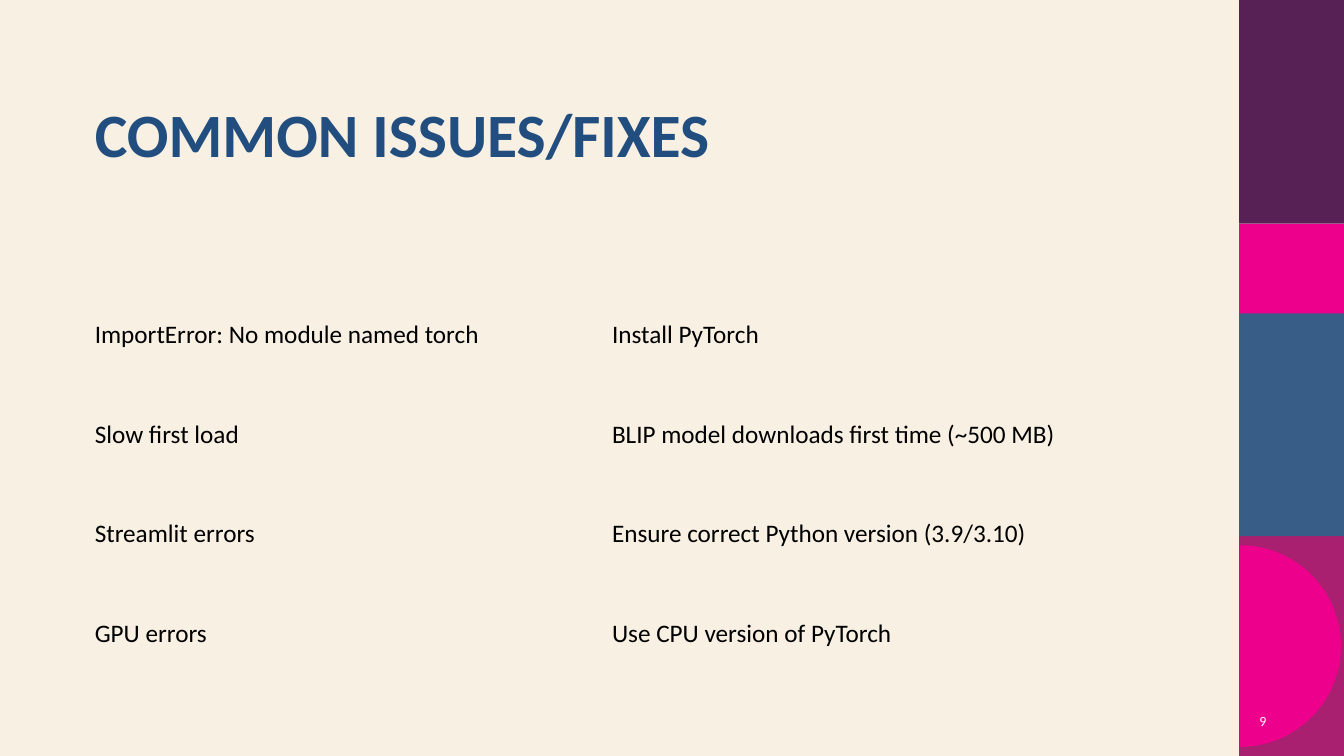
"""Build the slide of common issues and their fixes."""
import math
import pptx
import pptx.util
import pptx.dml.color
import pptx.enum.shapes
import pptx.enum.text

Inches = pptx.util.Inches
Align = pptx.enum.text.PP_ALIGN
Anchor = pptx.enum.text.MSO_ANCHOR

TITLE = "COMMON ISSUES/FIXES"
NUMBER = "9"
FIXES = [
    ("ImportError: No module named torch", "Install PyTorch"),
    ("Slow first load", "BLIP model downloads first time (~500 MB)"),
    ("Streamlit errors", "Ensure correct Python version (3.9/3.10)"),
    ("GPU errors", "Use CPU version of PyTorch"),
]
BANDS = [
    (5.28, 2.22, "AA2070"),
    (3.1, 2.22, "385E88"),
    (0, 2.22, "582156"),
    (2.22, 0.89, "EC008C"),
]
WIDE, HIGH = 13.33, 7.5
SIDE = 12.29
LEFT = 0.84
NO_GRID = "{2D5ABB26-0587-4C30-8999-92F81FD0307C}"


def paint(fill, color):
    fill.solid()
    fill.fore_color.rgb = pptx.dml.color.RGBColor.from_string(color)


def finish(shape, color):
    paint(shape.fill, color)
    shape.line.fill.background()
    shape.shadow.inherit = False


def write(frame, text, size, color, align=Align.LEFT, bold=False):
    frame.text = text
    para = frame.paragraphs[0]
    para.alignment = align
    font = para.runs[0].font
    font.name, font.size, font.bold = "Calibri", pptx.util.Pt(size), bold
    font.color.rgb = pptx.dml.color.RGBColor.from_string(color)


def add_side(shapes):
    for top, high, color in BANDS:
        band = shapes.add_shape(
            pptx.enum.shapes.MSO_SHAPE.RECTANGLE, Inches(SIDE), Inches(top),
            Inches(WIDE - SIDE), Inches(high))
        finish(band, color)
    mid_x, mid_y, steps = 12.3, 6.41, 90
    turns = [math.pi * (i / steps - 0.5) for i in range(steps + 1)]
    arc = [(Inches(mid_x + math.cos(t)), Inches(mid_y + math.sin(t)))
           for t in turns]
    disc = shapes.build_freeform(*arc[0])
    disc.add_line_segments(arc[1:], close=True)
    finish(disc.convert_to_shape(), "EC008C")


def add_title(title):
    title.left, title.top = Inches(LEFT), Inches(0.98)
    title.width, title.height = Inches(10.27), Inches(1.49)
    frame = title.text_frame
    write(frame, TITLE, 44, "224E7F", bold=True)
    frame.vertical_anchor = Anchor.TOP
    frame.paragraphs[0].line_spacing = 0.9


def add_number(shapes):
    box = shapes.add_textbox(
        Inches(12.16), Inches(6.95), Inches(0.5), Inches(0.4))
    frame = box.text_frame
    frame.word_wrap = True
    frame.vertical_anchor = Anchor.MIDDLE
    write(frame, NUMBER, 10, "FFFFFF", Align.RIGHT)


def add_fixes(shapes):
    frame = shapes.add_table(
        len(FIXES), 2, Inches(LEFT), Inches(2.83), Inches(10.26), Inches(3.95))
    table = frame.table
    table.first_row = table.horz_banding = False
    table._tbl.tblPr[0].text = NO_GRID
    for r, pair in enumerate(FIXES):
        for c, text in enumerate(pair):
            cell = table.cell(r, c)
            cell.fill.background()
            cell.vertical_anchor = Anchor.MIDDLE
            write(cell.text_frame, text, 18, "000000")


def main():
    deck = pptx.Presentation()
    deck.slide_width, deck.slide_height = Inches(WIDE), Inches(HIGH)
    slide = deck.slides.add_slide(deck.slide_layouts[5])
    paint(slide.background.fill, "F8F0E3")
    add_side(slide.shapes)
    add_title(slide.shapes.title)
    add_number(slide.shapes)
    add_fixes(slide.shapes)
    deck.save("out.pptx")


if __name__ == "__main__":
    main()
